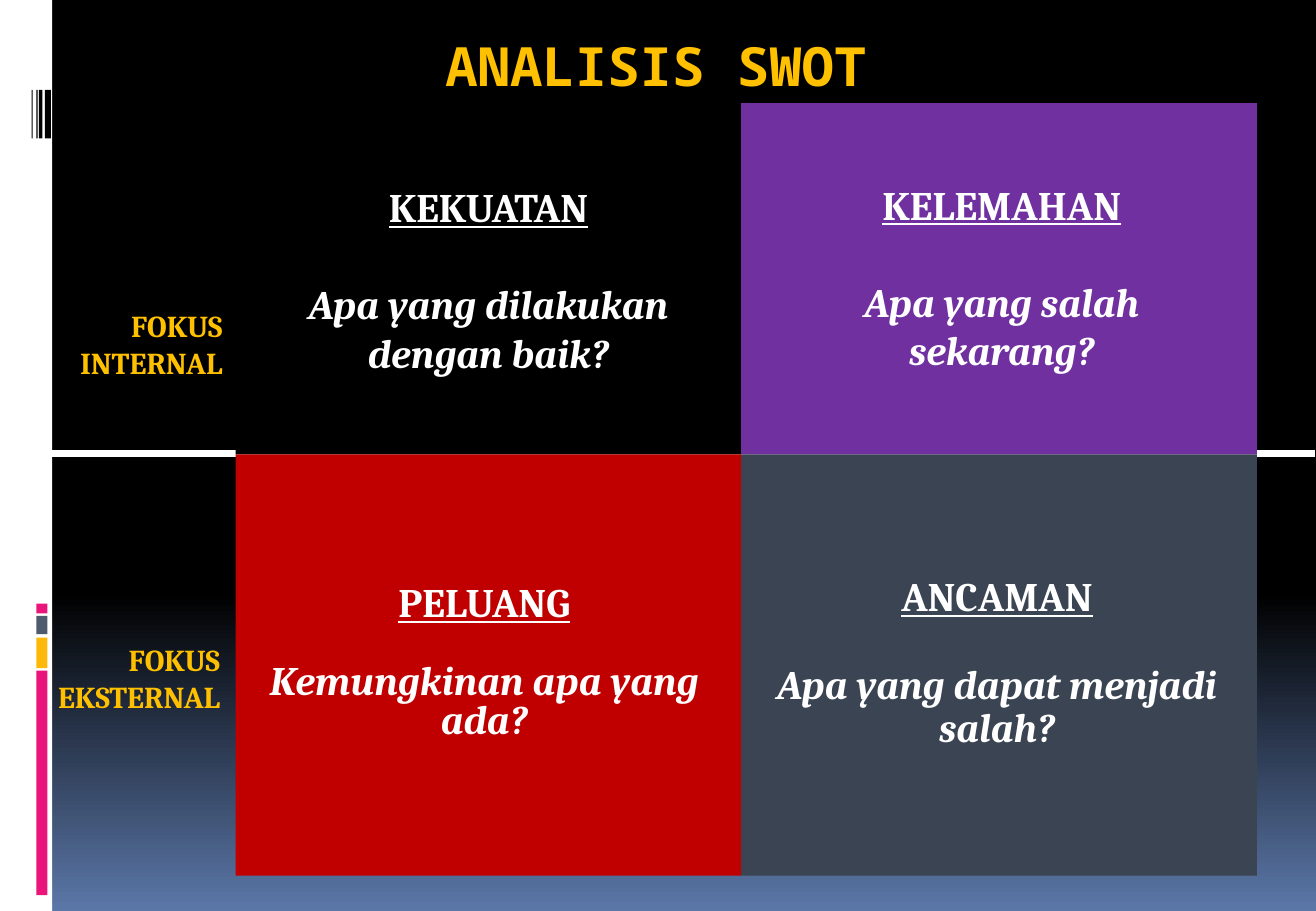
"""Build a SWOT analysis slide on a grid of tenth-inch columns and rows."""
import pptx
import pptx.util
import pptx.dml.color
import pptx.enum.shapes
import pptx.enum.text
import pptx.oxml.ns
import lxml.etree

COLS, ROWS = 108.3, 75
GOLD, WHITE, BLACK, PINK = "FFC000", "FFFFFF", "000000", "EA157A"
ALIGN = pptx.enum.text.PP_ALIGN

STRIPES = [
    (0, 0, 4.3, ROWS, WHITE),
    (3.7, 7.4, 0.5, 4, BLACK),
    (3.2, 7.4, 0.3, 4, BLACK),
    (3, 7.4, 0.1, 4, BLACK),
    (2.6, 7.4, 0.1, 4, BLACK),
    (3, 55.2, 0.9, 18.5, PINK),
    (3, 52.5, 0.9, 2.5, "FEB80A"),
    (3, 50.7, 0.9, 1.5, "4E5B6F"),
    (3, 49.7, 0.9, 0.8, PINK),
]
EDGES = [19.4, 61, 103.45]
TIERS = [8.5, 37.4, 72.1]
QUADS = [
    ("KEKUATAN", "Apa yang dilakukan dengan baik?", BLACK,
     (20.3, 14.5, 39.8, 17.2), 1),
    ("KELEMAHAN", "Apa yang salah sekarang?", "7030A0",
     (63.3, 14.3, 38.3, 17.2), 1),
    ("PELUANG", "Kemungkinan apa yang ada?", "C00000",
     (19, 47.8, 41.7, 13.9), 0.8),
    ("ANCAMAN", "Apa yang dapat menjadi salah?", "3B4453",
     (60.4, 47, 43.3, 15.6), 0.9),
]


def cell(*nums):
    """Turn grid counts into lengths."""
    return [pptx.util.Inches(n / 10) for n in nums]


def tint(color, code):
    """Set a colour from a hex string."""
    color.rgb = pptx.dml.color.RGBColor.from_string(code)


def block(slide, x, y, w, h, code):
    """Draw a plain filled rectangle."""
    kind = pptx.enum.shapes.MSO_SHAPE.RECTANGLE
    shape = slide.shapes.add_shape(kind, *cell(x, y, w, h))
    shape.shadow.inherit = False
    shape.fill.solid()
    tint(shape.fill.fore_color, code)
    shape.line.fill.background()


def frame(slide, area):
    """Add a wrapping text box and return its frame."""
    body = slide.shapes.add_textbox(*cell(*area)).text_frame
    body.word_wrap = True
    return body


def write(para, text, size, code, align, face="Cambria", **style):
    """Add one bold run to an aligned paragraph."""
    para.alignment = align
    run = para.add_run()
    run.text = text
    font = run.font
    font.name, font.size, font.bold = face, pptx.util.Pt(size), True
    font.underline = style.get("under", False)
    font.italic = style.get("slant", False)
    tint(font.color, code)


def label(slide, text, area):
    """Add a gold row label set to the right."""
    write(frame(slide, area).paragraphs[0], text, 18, GOLD, ALIGN.RIGHT)


def quad(slide, spot, head, ask, code, area, lead):
    """Draw one quadrant with its heading and question."""
    row, col = divmod(spot, 2)
    x, y = EDGES[col], TIERS[row]
    block(slide, x, y, EDGES[col + 1] - x, TIERS[row + 1] - y, code)
    body = frame(slide, area)
    top, low = body.paragraphs[0], body.add_paragraph()
    write(top, head, 24, WHITE, ALIGN.CENTER, under=True)
    write(low, ask, 24, WHITE, ALIGN.CENTER, slant=True)
    top.line_spacing = low.line_spacing = lead
    low.space_before = pptx.util.Pt(round(28.8 * lead, 1))


def rule(slide, y):
    """Draw the white line between the two rows."""
    kind = pptx.enum.shapes.MSO_CONNECTOR.STRAIGHT
    line = slide.shapes.add_connector(kind, *cell(0, y, COLS - 0.1, y))
    line.line.width = pptx.util.Pt(4.5)
    tint(line.line.color, WHITE)
    props = line._element.spPr
    lxml.etree.SubElement(props, pptx.oxml.ns.qn("a:effectLst"))


def shade(slide):
    """Fade the background from black to blue at the foot."""
    fill = slide.background.fill
    fill.gradient()
    fill.gradient_angle = 270
    fades = [(0.65, BLACK), (1, "5B77A8")]
    for stop, (place, code) in zip(fill.gradient_stops, fades):
        stop.position = place
        tint(stop.color, code)


def main():
    """Build and save the slide."""
    deck = pptx.Presentation()
    deck.slide_width, deck.slide_height = cell(COLS, ROWS)
    slide = deck.slides.add_slide(deck.slide_layouts[6])
    shade(slide)
    for stripe in STRIPES:
        block(slide, *stripe)
    rule(slide, 37.35)
    title = frame(slide, (9, 1, 90, 7.5))
    title.vertical_anchor = pptx.enum.text.MSO_ANCHOR.BOTTOM
    write(title.paragraphs[0], "ANALISIS SWOT", 32, GOLD, ALIGN.CENTER,
          "Noto Sans Mono")
    label(slide, "FOKUS INTERNAL", (1.8, 24.8, 17.5, 7.1))
    label(slide, "FOKUS EKSTERNAL", (0, 52.3, 19.1, 7.1))
    for spot, data in enumerate(QUADS):
        quad(slide, spot, *data)
    deck.save("out.pptx")


if __name__ == "__main__":
    main()
